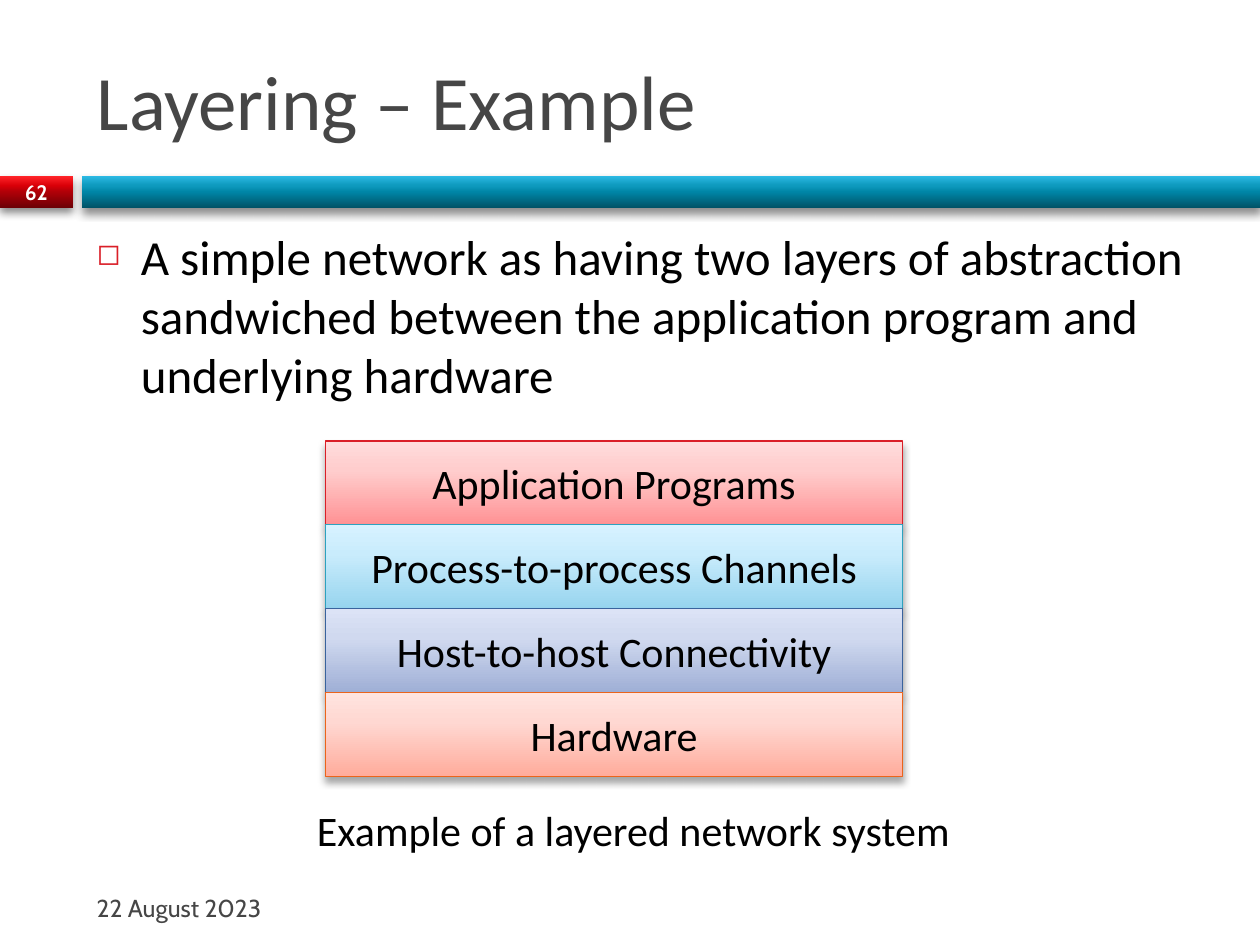
from lxml.etree import SubElement as Sub
from pptx import Presentation
from pptx.dml.color import RGBColor as RGB
from pptx.enum.shapes import MSO_SHAPE as Shape
from pptx.enum.text import MSO_ANCHOR as Anchor, MSO_AUTO_SIZE as Fit, PP_ALIGN as Align
from pptx.oxml.ns import qn
from pptx.util import Cm, Pt

BLACK = RGB(0x00, 0x00, 0x00)
WHITE = RGB(0xFF, 0xFF, 0xFF)
GREY = RGB(0x46, 0x46, 0x46)
RED = RGB(0xDA, 0x1F, 0x28)
TEAL = RGB(0x2D, 0xA2, 0xBF)
BLUE = RGB(0x39, 0x63, 0x9D)
ORANGE = RGB(0xEB, 0x64, 0x1B)

# Gradient stops, bottom to top: percent and colour
BAR_STOPS = (0, 50, 70, 100)
BOX_STOPS = (0, 65, 100)
RED_BAR = [RGB(0x6D, 0x00, 0x05), RGB(0xB0, 0x00, 0x08),
           RGB(0xDA, 0x00, 0x08), RGB(0xFF, 0x24, 0x29)]
TEAL_BAR = [RGB(0x00, 0x53, 0x67), RGB(0x00, 0x86, 0xA7),
            RGB(0x0E, 0x9A, 0xBE), RGB(0x2C, 0xB9, 0xE3)]
RED_BOX = [RGB(0xFF, 0x92, 0x94), RGB(0xFF, 0xCD, 0xCD), RGB(0xFF, 0xDC, 0xDC)]
TEAL_BOX = [RGB(0x96, 0xD4, 0xEE), RGB(0xC9, 0xEC, 0xFC), RGB(0xD7, 0xF2, 0xFF)]
BLUE_BOX = [RGB(0x9F, 0xAF, 0xD6), RGB(0xD0, 0xD9, 0xEF), RGB(0xDC, 0xE3, 0xF6)]
ORANGE_BOX = [RGB(0xFF, 0xAC, 0x9C), RGB(0xFF, 0xD8, 0xD2), RGB(0xFF, 0xE4, 0xDF)]

LAYERS = [
    ("Application Programs", RED_BOX, RED),
    ("Process-to-process Channels", TEAL_BOX, TEAL),
    ("Host-to-host Connectivity", BLUE_BOX, BLUE),
    ("Hardware", ORANGE_BOX, ORANGE),
]


def write(frame, text, size, color=BLACK, font="Calibri", bold=False,
          align=Align.LEFT, anchor=Anchor.MIDDLE):
    frame.word_wrap = True
    frame.auto_size = Fit.NONE
    frame.vertical_anchor = anchor
    para = frame.paragraphs[0]
    para.alignment = align
    run = para.add_run()
    run.text = text
    run.font.size = Pt(size)
    run.font.name = font
    run.font.bold = bold
    run.font.color.rgb = color
    return para


def add_text(slide, box, text, size, **style):
    shape = slide.shapes.add_textbox(*map(Cm, box))
    return write(shape.text_frame, text, size, **style)


def shade(shape, stops, colors):
    shape.fill.gradient()
    shape.fill.gradient_angle = 90
    items = shape._element.spPr.find(".//" + qn("a:gsLst"))
    for item in list(items):
        items.remove(item)
    for stop, color in zip(stops, colors):
        item = Sub(items, qn("a:gs"), pos=str(stop * 1000))
        Sub(item, qn("a:srgbClr"), val=str(color))


def drop(shape, alpha, blur, dist):
    shape.shadow.inherit = False
    effects = shape._element.spPr.find(qn("a:effectLst"))
    outer = Sub(effects, qn("a:outerShdw"), blurRad=str(Pt(blur)),
                dist=str(Pt(dist)), dir="5400000", algn="ctr", rotWithShape="0")
    color = Sub(outer, qn("a:srgbClr"), val="000000")
    Sub(color, qn("a:alpha"), val=str(alpha * 1000))


def add_bar(slide, left, width, colors):
    bar = slide.shapes.add_shape(Shape.RECTANGLE, Cm(left), Cm(3.55), Cm(width), Cm(0.64))
    shade(bar, BAR_STOPS, colors)
    bar.line.fill.background()
    drop(bar, 45, 5, 3)


def add_stack(slide, left, top, width, height):
    group = slide.shapes.add_group_shape()
    for row, (text, colors, edge) in enumerate(LAYERS):
        box = group.shapes.add_shape(Shape.RECTANGLE, Cm(left), Cm(top + row * height),
                                     Cm(width), Cm(height))
        shade(box, BOX_STOPS, colors)
        box.line.color.rgb = edge
        box.line.width = Pt(0.75)
        drop(box, 35, 4, 3)
        write(box.text_frame, text, 24, align=Align.CENTER)


def add_title(slide, text):
    title = slide.shapes.title
    title.left, title.top, title.width, title.height = map(Cm, (1.7, 0.64, 22.66, 2.74))
    write(title.text_frame, text, 44, color=GREY)


def add_bullet(slide, box, text):
    para = add_text(slide, box, text, 28, anchor=Anchor.TOP)
    para.space_before = Pt(7)
    props = para._p.get_or_add_pPr()
    props.set("marL", str(Cm(0.89)))
    props.set("indent", str(-Cm(0.89)))
    color = Sub(props, qn("a:buClr"))
    Sub(color, qn("a:srgbClr"), val=str(RED))
    Sub(props, qn("a:buSzPct"), val="60000")
    Sub(props, qn("a:buChar"), char="\u25fb")


def main():
    deck = Presentation()
    deck.slide_width, deck.slide_height = Cm(25.4), Cm(19.05)
    slide = deck.slides.add_slide(deck.slide_layouts[5])

    # Header
    add_bar(slide, 0, 1.47, RED_BAR)
    add_bar(slide, 1.65, 23.75, TEAL_BAR)
    add_title(slide, "Layering \u2013 Example")

    # Body and diagram
    add_bullet(slide, (1.7, 4.45, 22.66, 12.5),
               "A simple network as having two layers of abstraction sandwiched "
               "between the application program and underlying hardware")
    add_stack(slide, 6.56, 8.89, 11.64, 1.69)
    add_text(slide, (6.14, 16.09, 15.03, 1.28), "Example of a layered network system", 24)

    # Date and slide number
    add_text(slide, (1.7, 17.78, 7.41, 1.02), "22 August 2023", 14, color=GREY, font="Cabin")
    add_text(slide, (0, 3.53, 1.47, 0.69), "62", 12, color=WHITE, font="Cabin",
             bold=True, align=Align.CENTER)

    deck.save("out.pptx")


main()
